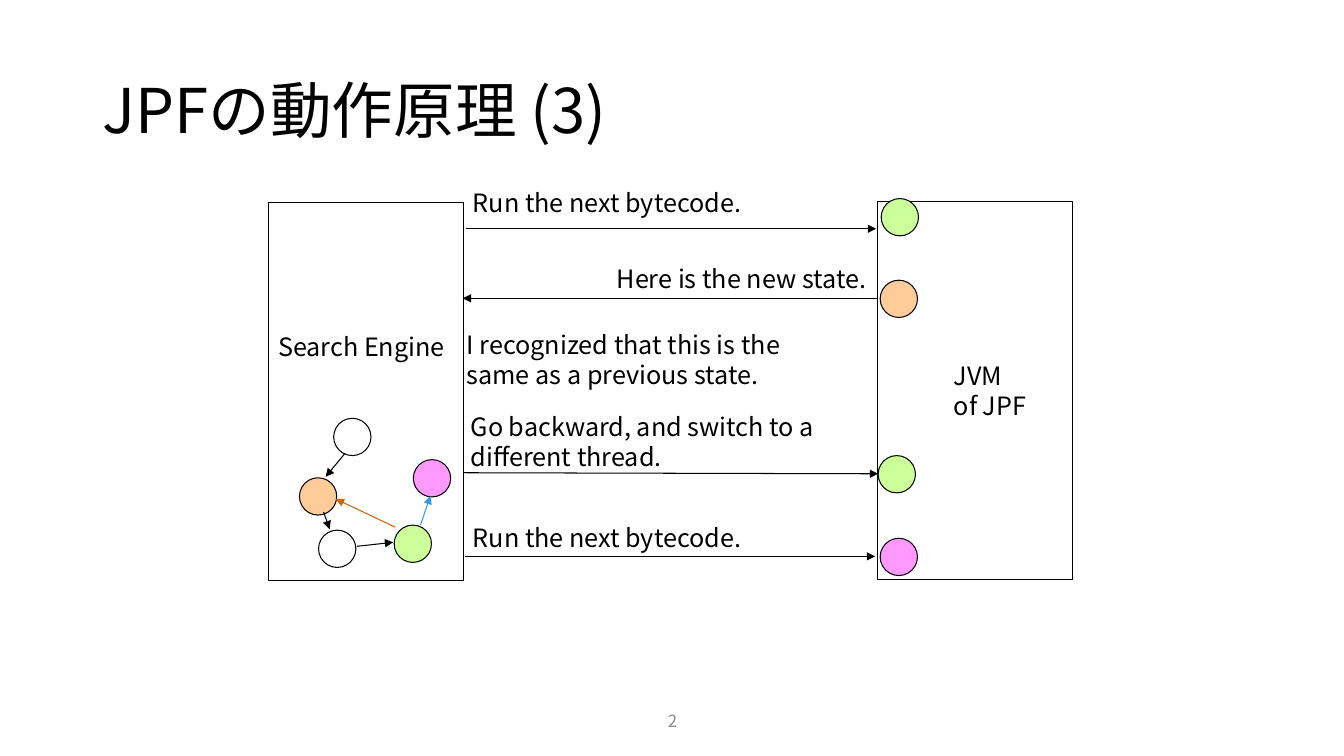
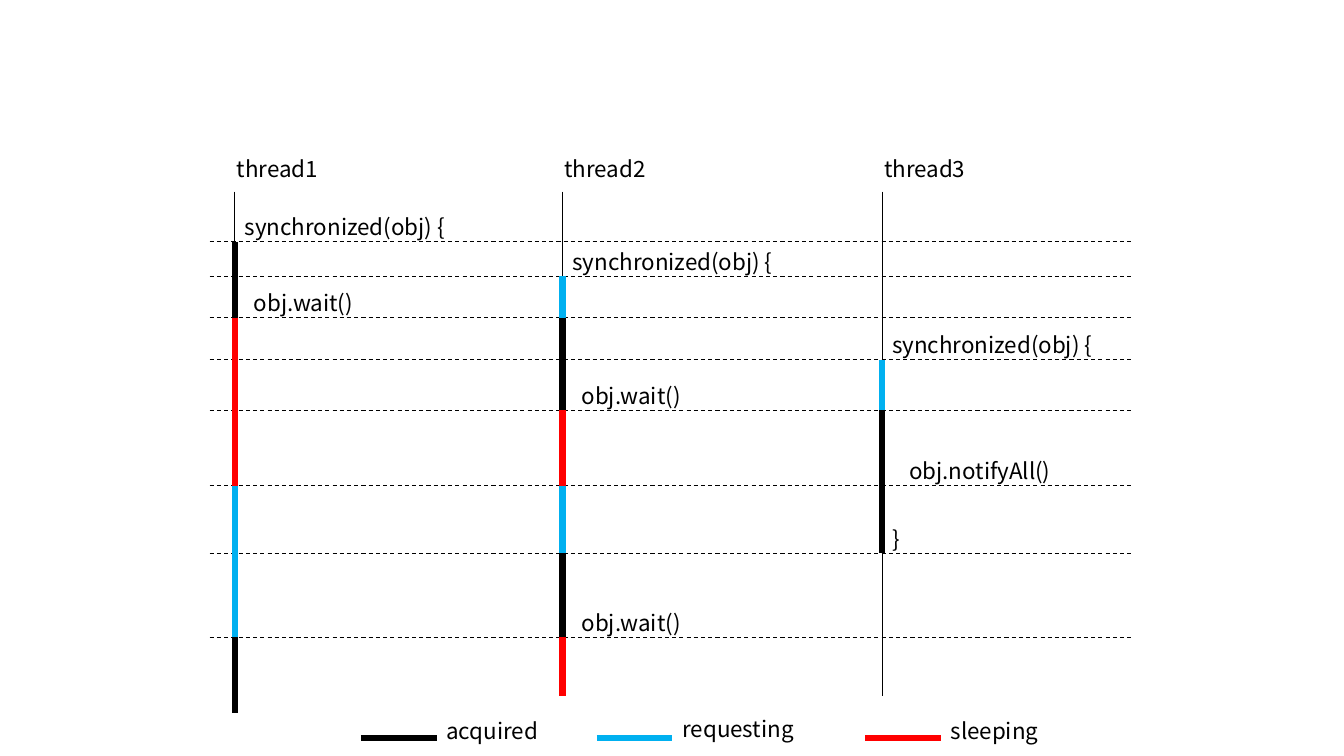
from lxml.etree import SubElement
from pptx import Presentation
from pptx.dml.color import RGBColor
from pptx.enum.dml import MSO_LINE
from pptx.enum.shapes import MSO_CONNECTOR, MSO_SHAPE
from pptx.enum.text import MSO_ANCHOR, PP_ALIGN
from pptx.oxml.ns import qn
from pptx.util import Inches, Pt

# Shared style
FONT = "Noto Sans CJK JP"
BLACK, WHITE, GRAY = "000000", "FFFFFF", "8C8C8C"
ORANGE, GREEN, PINK = "FFCC99", "CCFF99", "FF99FF"
BROWN, BLUE = "CC6600", "3399FF"
ACQUIRED, REQUESTING, SLEEPING = BLACK, "00B0F0", "FF0000"


def rgb(value):
    return RGBColor.from_string(value)


def write(tf, text, size=18, color=BLACK, align=PP_ALIGN.LEFT,
          anchor=MSO_ANCHOR.TOP, spacing=None):
    tf.word_wrap = True
    tf.vertical_anchor = anchor
    p = tf.paragraphs[0]
    p.text = text
    p.alignment = align
    p.line_spacing = spacing
    for r in p.runs:
        r.font.name = FONT
        r.font.size = Pt(size)
        r.font.color.rgb = rgb(color)
        SubElement(r.font._element, qn("a:ea"), typeface=FONT)


class Deck:
    """Holds the presentation, its style and the current slide."""

    def __init__(self):
        self.prs = Presentation()
        self.prs.slide_width = Inches(13.33)
        self.prs.slide_height = Inches(7.5)
        self.s = None

    def slide(self):
        self.s = self.prs.slides.add_slide(self.prs.slide_layouts[6])

    def text(self, text, x, y, w, h=0.4, **fmt):
        sp = self.s.shapes.add_textbox(*map(Inches, (x, y, w, h)))
        write(sp.text_frame, text, **fmt)

    def title(self, text):
        self.text(text, 0.92, 0.4, 11.5, 1.45, size=44,
                  anchor=MSO_ANCHOR.MIDDLE, spacing=0.9)

    def page_number(self, number):
        self.text(str(number), 4.42, 6.95, 4.5, size=12, color=GRAY,
                  align=PP_ALIGN.CENTER, anchor=MSO_ANCHOR.MIDDLE)

    def shape(self, kind, x, y, w, h, fill=WHITE):
        sp = self.s.shapes.add_shape(kind, *map(Inches, (x, y, w, h)))
        sp.shadow.inherit = False
        sp.fill.solid()
        sp.fill.fore_color.rgb = rgb(fill)
        sp.line.color.rgb = rgb(BLACK)
        sp.line.width = Pt(0.75)
        return sp

    def box(self, text, x, y, left=0.1, bottom=0.05):
        tf = self.shape(MSO_SHAPE.RECTANGLE, x, y, 1.94, 3.75).text_frame
        tf.margin_left = Inches(left)
        tf.margin_bottom = Inches(bottom)
        write(tf, text, anchor=MSO_ANCHOR.MIDDLE)

    def state(self, x, y, fill):
        self.shape(MSO_SHAPE.OVAL, x, y, 0.37, 0.37, fill)

    def line(self, x1, y1, x2, y2, color=BLACK, width=0.75, dash=None,
             arrow=False):
        sp = self.s.shapes.add_connector(
            MSO_CONNECTOR.STRAIGHT, *map(Inches, (x1, y1, x2, y2)))
        sp.line.color.rgb = rgb(color)
        sp.line.width = Pt(width)
        if dash:
            sp.line.dash_style = dash
        if arrow:
            SubElement(sp.line._get_or_add_ln(), qn("a:tailEnd"),
                       type="triangle")
        SubElement(sp._element.spPr, qn("a:effectLst"))


deck = Deck()

# Slide 1: messages between the search engine and the JVM
deck.slide()
deck.title("JPFの動作原理 (3)")
deck.page_number(2)
deck.box("Search Engine", 2.66, 2.01, bottom=0.94)
deck.box("JVM\nof JPF", 8.7, 2, left=0.76)

# Messages
deck.text("Run the next bytecode.", 4.59, 1.81, 3.38)
deck.text("Here is the new state.", 5.31, 2.56, 3.38, align=PP_ALIGN.RIGHT)
deck.text("I recognized that this is the same as a previous state.",
          4.53, 3.22, 3.39, 0.71)
deck.text("Go backward, and switch to a different thread.",
          4.57, 4.03, 4.51, 0.71)
deck.text("Run the next bytecode.", 4.59, 5.13, 3.38)
for ends in [(4.62, 2.27, 8.69, 2.27), (8.7, 2.96, 4.59, 2.96),
             (4.6, 4.69, 8.71, 4.7), (4.61, 5.52, 8.68, 5.52)]:
    deck.line(*ends, arrow=True)

# States: the search graph, then those in the JVM
for x, y, fill in [
        (3.31, 4.15, WHITE), (2.97, 4.74, ORANGE), (3.16, 5.26, WHITE),
        (3.91, 5.21, GREEN), (4.1, 4.56, PINK),
        (8.74, 1.97, GREEN), (8.73, 2.78, ORANGE),
        (8.71, 4.52, GREEN), (8.73, 5.34, PINK)]:
    deck.state(x, y, fill)

# Transitions
for *ends, color in [
        (3.42, 4.5, 3.23, 4.73, BLACK), (3.21, 5.08, 3.27, 5.25, BLACK),
        (3.54, 5.42, 3.9, 5.38, BLACK), (3.92, 5.23, 3.33, 4.95, BROWN),
        (4.17, 5.21, 4.27, 4.92, BLUE)]:
    deck.line(*ends, color=color, arrow=True)

# Slide 2: lock states of three threads over time
deck.slide()
TIMES = [2.4, 2.74, 3.15, 3.57, 4.07, 4.82, 5.49, 6.32]
T1, T2, T3, T4, T5, T6, T7, T8 = TIMES
SYNC, WAIT = ("synchronized(obj) {", 0, 2.33), ("obj.wait()", 0.09, 1.25)
NOTIFY, CLOSE = ("obj.notifyAll()", 0.17, 1.75), ("}", 0, 2.75)

# Each thread: name, x, end of its line, calls, state changes, last time
THREADS = [
    ("thread1", 2.33, 6.99, [(T1, SYNC), (T3, WAIT)],
     [(T1, ACQUIRED), (T3, SLEEPING), (T6, REQUESTING), (T8, ACQUIRED)],
     7.07),
    ("thread2", 5.58, 6.9, [(T2, SYNC), (T5, WAIT), (T8, WAIT)],
     [(T2, REQUESTING), (T3, ACQUIRED), (T5, SLEEPING), (T6, REQUESTING),
      (T7, ACQUIRED), (T8, SLEEPING)], 6.9),
    ("thread3", 8.75, 6.9, [(T4, SYNC), (T6, NOTIFY), (T7, CLOSE)],
     [(T4, REQUESTING), (T5, ACQUIRED)], T7),
]

for time in TIMES:
    deck.line(2.08, time, 11.25, time, dash=MSO_LINE.DASH)

for name, x, end, calls, changes, last in THREADS:
    deck.text(name, x - 0.08, 1.49, 1.08, 0.37, size=16)
    deck.line(x, 1.9, x, end)
    for time, (call, indent, w) in calls:
        deck.text(call, x + indent, time - 0.33, w, 0.37, size=16)
    stops = [time for time, _ in changes[1:]] + [last]
    for (start, color), stop in zip(changes, stops):
        deck.line(x, start, x, stop, color=color, width=4.5)

# Legend
for label, x, y, color in [("acquired", 4.33, 7.07, ACQUIRED),
                           ("requesting", 6.67, 7.05, REQUESTING),
                           ("sleeping", 9.33, 7.07, SLEEPING)]:
    deck.line(x - 0.75, 7.32, x, 7.32, color=color, width=4.5)
    deck.text(label, x, y, 1.83, 0.37, size=16)

deck.prs.save("out.pptx")
